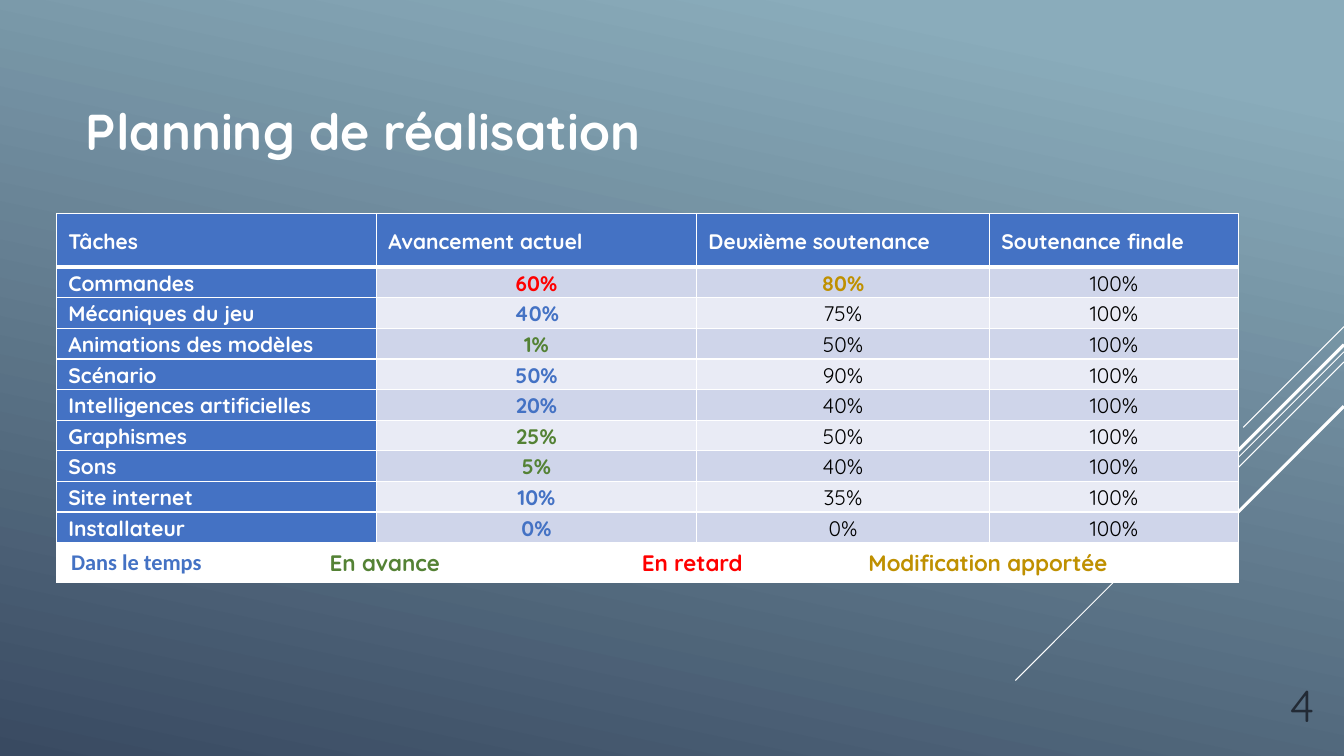
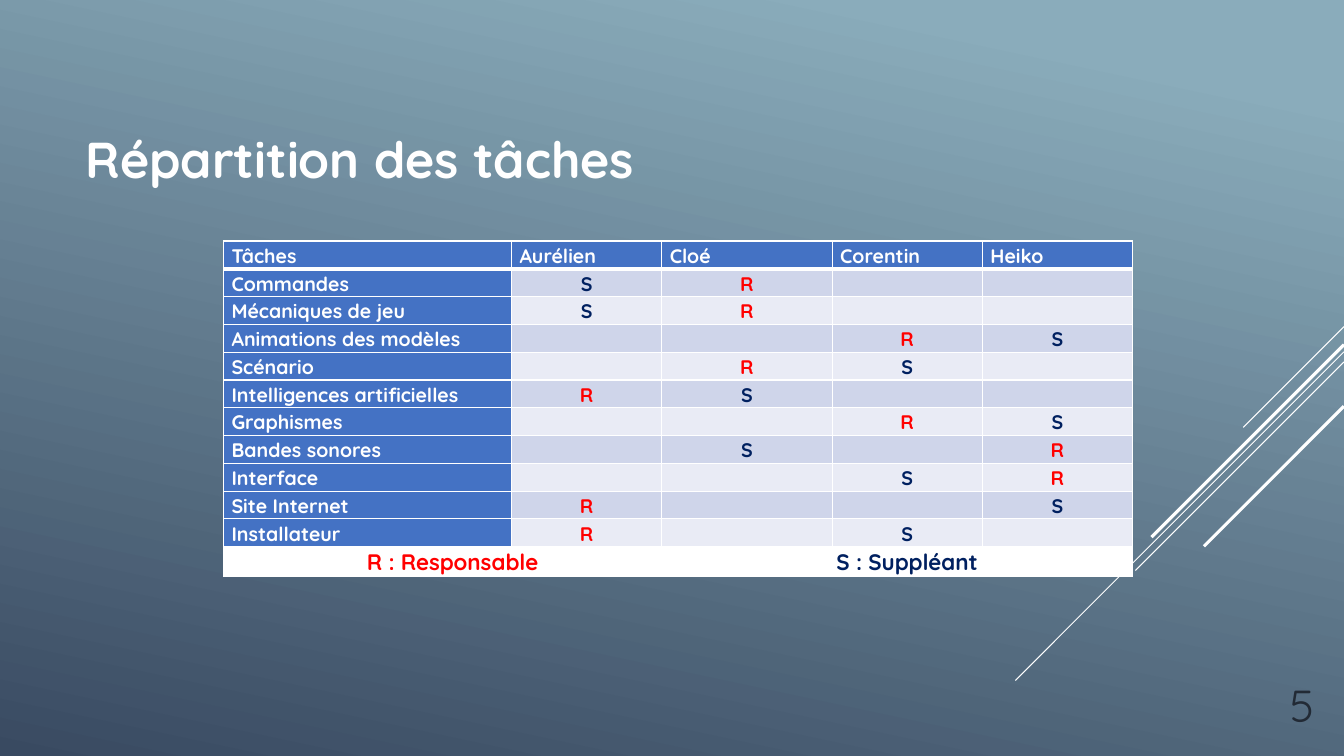
from typing import NamedTuple

from lxml import etree
from pptx import Presentation
from pptx.dml.color import RGBColor
from pptx.enum.shapes import MSO_CONNECTOR
from pptx.enum.text import MSO_ANCHOR, MSO_AUTO_SIZE, PP_ALIGN
from pptx.oxml.ns import qn
from pptx.util import Pt

STRAIGHT = MSO_CONNECTOR.STRAIGHT
MIDDLE, BOTTOM = MSO_ANCHOR.MIDDLE, MSO_ANCHOR.BOTTOM
NO_FIT = MSO_AUTO_SIZE.NONE
LEFT, CENTER, RIGHT = PP_ALIGN.LEFT, PP_ALIGN.CENTER, PP_ALIGN.RIGHT

WIDTH, HEIGHT = 960, 540
TITLE_ONLY = 5
FONT = "Quicksand"
COLORS = {
    "sky": "8AACBB", "night": "394A61", "white": "FFFFFF", "black": "000000",
    "blue": "4472C4", "band": "CFD5EA", "light band": "E9EBF5",
    "green": "548235", "red": "FF0000", "gold": "BF9000",
    "navy": "002060", "number": "222A35",
}
BANDS = ("band", "light band")
DIAGONALS = [(233.3, 72, 0.75), (251.3, 234.7, 0.75), (258.5, 149, 0.75),
             (246.2, 137.5, 2.25), (290.2, 100, 2.25)]


class Cell(NamedTuple):
    """Content and look of one table cell."""
    text: str
    color: str
    fill: str
    align: PP_ALIGN = CENTER
    bold: bool = True
    size: float = 0
    font: str = FONT
    shift: float = 0


def rgb(name):
    """Return the colour with this name."""
    return RGBColor.from_string(COLORS[name])


def heading(text):
    """Return a header or first-column cell."""
    return Cell(text, "white", "blue", LEFT)


class Deck:
    """Holds the shared style and the current slide."""

    def __init__(self):
        """Set the page size and the shared background."""
        self.presentation = Presentation()
        self.presentation.slide_width = Pt(WIDTH)
        self.presentation.slide_height = Pt(HEIGHT)
        fill = self.presentation.slide_master.background.fill
        fill.gradient()
        fill.gradient_angle = 258
        for stop, position, color in zip(fill.gradient_stops, (0.1, 1), ("sky", "night")):
            stop.position = position
            stop.color.rgb = rgb(color)

    def new_slide(self, title, title_top, number):
        """Start a slide with its diagonals, title and number."""
        layout = self.presentation.slide_layouts[TITLE_ONLY]
        self.slide = self.presentation.slides.add_slide(layout)
        for top, run, width in DIAGONALS:
            self.diagonal(top, run, width)
        shape = self.slide.shapes.title
        shape.left, shape.top = Pt(54), Pt(title_top)
        shape.width, shape.height = Pt(672), Pt(118.8)
        self.put_line(shape.text_frame, title, 36, "white", LEFT, MIDDLE, True)
        shape = self.slide.shapes.add_textbox(Pt(856), Pt(473.8), Pt(90), Pt(52.5))
        self.put_line(shape.text_frame, number, 32, "number", RIGHT, BOTTOM, False)

    def diagonal(self, top, run, width):
        """Draw a 45 degree line down from the right edge."""
        line = self.slide.shapes.add_connector(
            STRAIGHT, Pt(WIDTH), Pt(top), Pt(WIDTH - run), Pt(top + run))
        line.line.color.rgb = rgb("white")
        line.line.width = Pt(width)
        etree.SubElement(line._element.spPr, qn("a:effectLst"))

    def put_line(self, frame, text, size, color, align, anchor, bold):
        """Fill a text frame with one line."""
        frame.word_wrap = True
        frame.auto_size = NO_FIT
        frame.vertical_anchor = anchor
        self.style_paragraph(frame.paragraphs[0], text, size, color, align, bold, FONT)

    def style_paragraph(self, paragraph, text, size, color, align, bold, font):
        """Set the text and style of a paragraph."""
        if text:
            paragraph.text = text
        paragraph.alignment = align
        paragraph.font.name = font
        paragraph.font.size = Pt(size)
        paragraph.font.bold = bold
        paragraph.font.color.rgb = rgb(color)
        if not text:
            etree.SubElement(paragraph._p, qn("a:endParaRPr"), sz=str(size * 100))

    def table(self, left, top, widths, heights, rows, spans, legend_spans, size, margin):
        """Draw a table whose last row is a legend."""
        frame = self.slide.shapes.add_table(
            len(heights), len(widths), Pt(left), Pt(top), Pt(sum(widths)), Pt(sum(heights)))
        table = frame.table
        for column, width in zip(table.columns, widths):
            column.width = Pt(width)
        for row, height in zip(table.rows, heights):
            row.height = Pt(height)
        for index, cells in enumerate(rows):
            column = 0
            row_spans = legend_spans if index == len(rows) - 1 else spans
            for content, span in zip(cells, row_spans):
                cell = table.cell(index, column)
                if span > 1:
                    cell.merge(table.cell(index, column + span - 1))
                self.fill_cell(cell, content, size, margin, (1, 3)[index == 0], (1, 3)[index == 1])
                column += span

    def fill_cell(self, cell, content, size, margin, bottom, top):
        """Style one cell and set its text."""
        cell.margin_top = cell.margin_bottom = 0
        cell.margin_left = Pt(margin + max(0, 2 * content.shift))
        cell.margin_right = Pt(margin + max(0, -2 * content.shift))
        cell.vertical_anchor = MIDDLE
        for side, width in zip("LRTB", (1, 1, top, bottom)):
            border = etree.SubElement(
                cell._tc.get_or_add_tcPr(), qn(f"a:ln{side}"), w=str(int(Pt(width))))
            solid = etree.SubElement(border, qn("a:solidFill"))
            etree.SubElement(solid, qn("a:srgbClr"), val=COLORS["white"])
        cell.fill.solid()
        cell.fill.fore_color.rgb = rgb(content.fill)
        paragraph = cell.text_frame.paragraphs[0]
        paragraph.line_spacing = 1.07
        self.style_paragraph(paragraph, content.text, content.size or size, content.color,
                             content.align, content.bold, content.font)


def planning(deck):
    """Build the schedule slide."""
    tasks = [
        ("Commandes", "60%", "red", "80%"),
        ("Mécaniques du jeu", "40%", "blue", "75%"),
        ("Animations des modèles", "1%", "green", "50%"),
        ("Scénario", "50%", "blue", "90%"),
        ("Intelligences artificielles", "20%", "blue", "40%"),
        ("Graphismes", "25%", "green", "50%"),
        ("Sons", "5%", "green", "40%"),
        ("Site internet", "10%", "blue", "35%"),
        ("Installateur", "0%", "blue", "0%"),
    ]
    titles = ("Tâches", "Avancement actuel", "Deuxième soutenance", "Soutenance finale")
    rows = [[heading(text) for text in titles]]
    for index, (task, current, color, second) in enumerate(tasks):
        band = BANDS[index % 2]
        changed = task == "Commandes"
        rows.append([
            heading(task),
            Cell(current, color, band),
            Cell(second, "gold" if changed else "black", band, bold=changed),
            Cell("100%", "black", band, bold=False),
        ])
    rows.append([
        Cell("Dans le temps", "blue", "white", size=16, font="Calibri"),
        Cell("En avance", "green", "white", size=16, shift=6),
        Cell("En retard", "red", "white", size=16, shift=-3),
        Cell("Modification apportée", "gold", "white", LEFT, size=16),
    ])
    deck.new_slide("Planning de réalisation", 34, "4")
    deck.table(40.3, 152.4, [114.3] * 5 + [95, 178], [38.5] + [21.87] * 9 + [28.2],
               rows, (2, 2, 2, 1), (1, 2, 2, 2), 15, 8.6)


def assignment(deck):
    """Build the task assignment slide."""
    tasks = [
        ("Commandes", "SR--"),
        ("Mécaniques de jeu", "SR--"),
        ("Animations des modèles", "--RS"),
        ("Scénario", "-RS-"),
        ("Intelligences artificielles", "RS--"),
        ("Graphismes", "--RS"),
        ("Bandes sonores", "-S-R"),
        ("Interface", "--SR"),
        ("Site Internet", "R--S"),
        ("Installateur", "R-S-"),
    ]
    role_colors = {"R": "red", "S": "navy", "": "black"}
    rows = [[heading(text) for text in ("Tâches", "Aurélien", "Cloé", "Corentin", "Heiko")]]
    for index, (task, marks) in enumerate(tasks):
        roles = [mark.strip("-") for mark in marks]
        rows.append([heading(task)] + [
            Cell(role, role_colors[role], BANDS[index % 2]) for role in roles])
    rows.append([
        Cell("R : Responsable", "red", "white", size=16),
        Cell("S : Suppléant", "navy", "white", size=16),
    ])
    deck.new_slide("Répartition des tâches", 54, "5")
    deck.table(159.6, 172.2, [205.8, 107.3, 10, 107.3, 107.3, 107.3],
               [19.85] * 11 + [21.4], rows, (1, 1, 2, 1, 1), (3, 3), 14, 5.8)


def main():
    """Build and save the slides."""
    deck = Deck()
    planning(deck)
    assignment(deck)
    deck.presentation.save("out.pptx")


if __name__ == "__main__":
    main()
